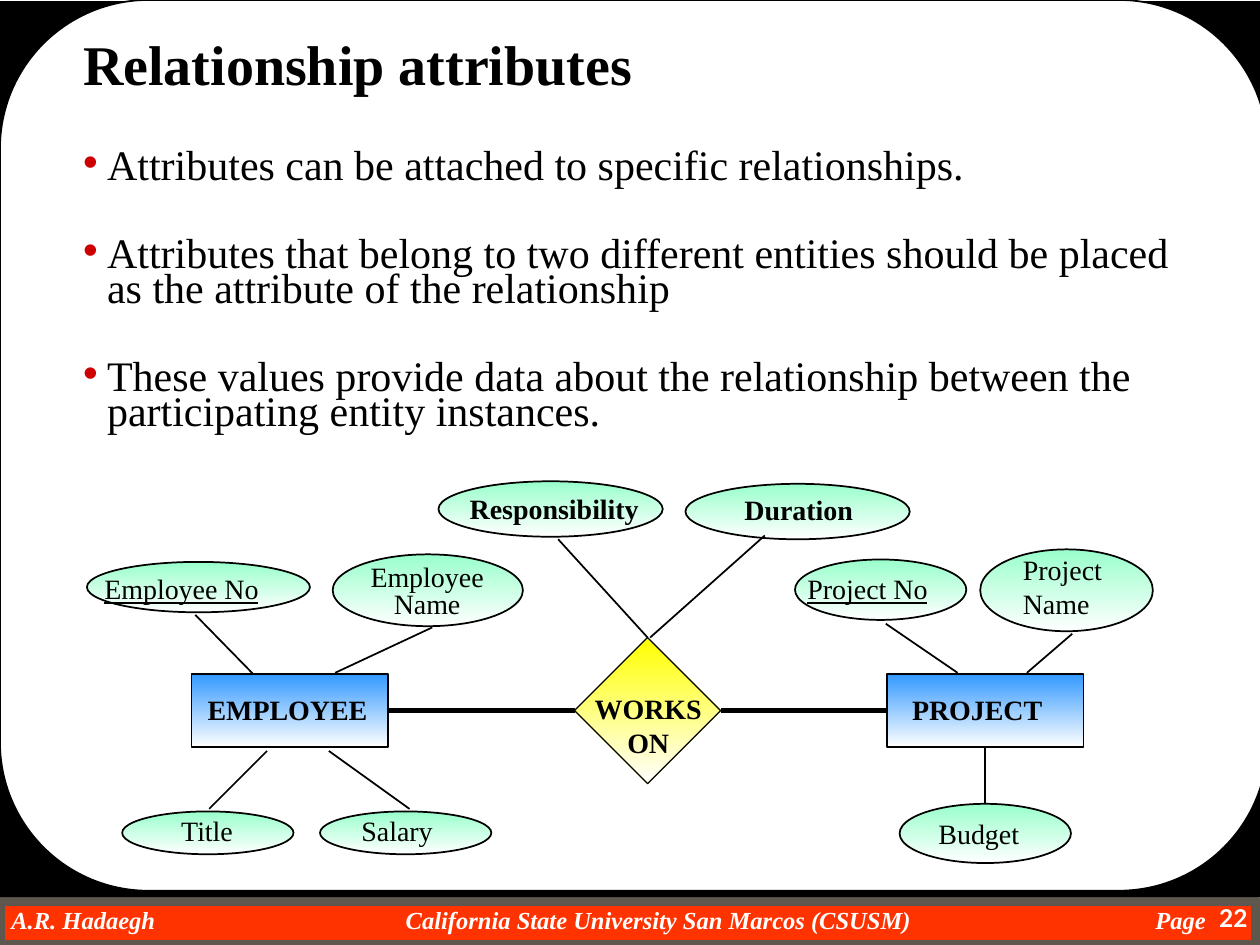
from dataclasses import dataclass
from typing import Optional

from lxml.etree import SubElement
from pptx import Presentation
from pptx.dml.color import RGBColor
from pptx.enum.shapes import MSO_CONNECTOR, MSO_SHAPE
from pptx.enum.text import MSO_ANCHOR, MSO_AUTO_SIZE, PP_ALIGN
from pptx.oxml.ns import qn
from pptx.util import Inches, Pt

BLACK = RGBColor(0x00, 0x00, 0x00)
WHITE = RGBColor(0xFF, 0xFF, 0xFF)
FOOTER_RED = RGBColor(0xFF, 0x33, 0x00)
FOOTER_BORDER = RGBColor(0x5E, 0x57, 0x4E)
BULLET_RED = RGBColor(0xCC, 0x00, 0x00)
ENTITY_BLUE = RGBColor(0x33, 0x99, 0xFF)
ATTRIBUTE_GREEN = RGBColor(0x99, 0xFF, 0xCC)
RELATIONSHIP_YELLOW = RGBColor(0xFF, 0xFF, 0x00)
SERIF = "Times New Roman"

BULLETS = (
    "Attributes can be attached to specific relationships.",
    "Attributes that belong to two different entities should be placed "
    "as the attribute of the relationship",
    "These values provide data about the relationship between the "
    "participating entity instances.",
)


@dataclass(frozen=True)
class Box:
    left: float
    top: float
    width: float
    height: float

    def lengths(self) -> tuple:
        return tuple(Inches(v) for v in (self.left, self.top, self.width, self.height))


@dataclass(frozen=True)
class Kind:
    preset: MSO_SHAPE
    color: RGBColor
    line_width: float


@dataclass(frozen=True)
class Node:
    kind: Kind
    box: Box
    label: str
    label_box: Box
    bold: bool = False
    underline: bool = False
    centered: bool = False
    line_spacing: float = 1.0


@dataclass(frozen=True)
class Link:
    start: tuple
    end: tuple
    width: float = 1
    start_join: Optional[tuple] = None
    end_join: Optional[tuple] = None


ENTITY = Kind(MSO_SHAPE.RECTANGLE, ENTITY_BLUE, 0.75)
ATTRIBUTE = Kind(MSO_SHAPE.OVAL, ATTRIBUTE_GREEN, 1)
RELATIONSHIP = Kind(MSO_SHAPE.DIAMOND, RELATIONSHIP_YELLOW, 0.75)

NODES = (
    Node(ENTITY, Box(1.52, 5.35, 1.56, 0.58), "EMPLOYEE", Box(1.55, 5.45, 1.5, 0.36), bold=True),
    Node(ENTITY, Box(7.04, 5.35, 1.56, 0.58), "PROJECT", Box(7.14, 5.45, 1.4, 0.36), bold=True),
    Node(RELATIONSHIP, Box(4.56, 5.06, 1.16, 1.16), "WORKS\nON", Box(4.62, 5.44, 1.05, 0.63),
         bold=True, centered=True),
    Node(ATTRIBUTE, Box(0.69, 4.46, 1.77, 0.4), "Employee No", Box(0.73, 4.49, 1.5, 0.36),
         underline=True),
    Node(ATTRIBUTE, Box(2.64, 4.4, 1.51, 0.57), "Employee\nName", Box(2.84, 4.44, 1.1, 0.52),
         centered=True, line_spacing=0.8),
    Node(ATTRIBUTE, Box(0.97, 6.44, 1.36, 0.34), "Title", Box(1.34, 6.41, 0.7, 0.36)),
    Node(ATTRIBUTE, Box(2.54, 6.44, 1.36, 0.34), "Salary", Box(2.77, 6.41, 0.85, 0.36)),
    Node(ATTRIBUTE, Box(3.48, 3.82, 1.78, 0.44), "Responsibility", Box(3.63, 3.85, 1.6, 0.36),
         bold=True),
    Node(ATTRIBUTE, Box(5.44, 3.84, 1.78, 0.44), "Duration", Box(5.81, 3.86, 1.15, 0.36),
         bold=True),
    Node(ATTRIBUTE, Box(6.31, 4.44, 1.36, 0.48), "Project No", Box(6.31, 4.49, 1.25, 0.36),
         underline=True),
    Node(ATTRIBUTE, Box(7.78, 4.36, 1.37, 0.65), "Project\nName", Box(8.02, 4.34, 0.9, 0.63)),
    Node(ATTRIBUTE, Box(7.14, 6.38, 1.36, 0.47), "Budget", Box(7.35, 6.43, 0.9, 0.36)),
)

LINKS = (
    Link((4.56, 5.64), (3.08, 5.64), 3, ("WORKS\nON", 1), ("EMPLOYEE", 3)),
    Link((7.04, 5.64), (5.72, 5.64), 3, ("PROJECT", 1), ("WORKS\nON", 3)),
    Link((7.82, 6.38), (7.82, 5.93), 1, ("Budget", 0), ("PROJECT", 2)),
    Link((4.43, 4.28), (5.14, 5.06), 1, None, ("WORKS\nON", 0)),
    Link((6.07, 4.25), (5.16, 5.06)),
    Link((1.55, 4.88), (2.01, 5.35)),
    Link((3.43, 4.98), (2.66, 5.34)),
    Link((2.12, 5.96), (1.66, 6.42)),
    Link((2.61, 5.96), (3.25, 6.42)),
    Link((7.03, 4.95), (7.6, 5.34)),
    Link((8.51, 5.03), (8.15, 5.34)),
)


def set_font(paragraph, size: float, color: RGBColor = BLACK, name: str = SERIF,
             bold: bool = False, italic: bool = False, underline: bool = False) -> None:
    font = paragraph.font
    font.name, font.size = name, Pt(size)
    font.bold, font.italic, font.underline = bold, italic, underline
    font.color.rgb = color


def add_panel(slide, preset: MSO_SHAPE, box: Box, fill: RGBColor,
              line: Optional[RGBColor] = None, line_width: float = 1):
    shape = slide.shapes.add_shape(preset, *box.lengths())
    shape.shadow.inherit = False
    shape.fill.solid()
    shape.fill.fore_color.rgb = fill
    if line is None:
        shape.line.fill.background()
    else:
        shape.line.color.rgb = line
        shape.line.width = Pt(line_width)
    return shape


def add_text(slide, box: Box, text: str, wrap: bool = False):
    frame = slide.shapes.add_textbox(*box.lengths()).text_frame
    frame.word_wrap = wrap
    frame.text = text
    return frame


def add_backdrop(slide) -> None:
    add_panel(slide, MSO_SHAPE.RECTANGLE, Box(0, 7.15, 9.97, 0.35), FOOTER_RED, FOOTER_BORDER, 6)
    footer = add_text(slide, Box(0.09, 7.18, 9.68, 0.23),
                      "A.R. Hadaegh\tCalifornia State University San Marcos (CSUSM)\tPage", True)
    footer.margin_left = footer.margin_top = footer.margin_right = footer.margin_bottom = 0
    paragraph = footer.paragraphs[0]
    tab_list = SubElement(paragraph._p.get_or_add_pPr(), qn("a:tabLst"))
    for position in (3.13, 9.08):
        SubElement(tab_list, qn("a:tab"), pos=str(Inches(position)), algn="l")
    set_font(paragraph, 14, WHITE, bold=True, italic=True)
    add_panel(slide, MSO_SHAPE.RECTANGLE, Box(0, 0.01, 10, 7.11), BLACK)
    add_panel(slide, MSO_SHAPE.ROUNDED_RECTANGLE, Box(0, 0, 10.06, 7.07), WHITE, BLACK)
    number = add_text(slide, Box(9.25, 7.12, 0.75, 0.38), "22", True).paragraphs[0]
    number.alignment = PP_ALIGN.RIGHT
    set_font(number, 14, WHITE, "Lato", bold=True)


def place_placeholder(placeholder, box: Box, text: str):
    placeholder.element.getparent().append(placeholder.element)
    placeholder.left, placeholder.top, placeholder.width, placeholder.height = box.lengths()
    frame = placeholder.text_frame
    frame.text = text
    frame.word_wrap = True
    frame.auto_size = MSO_AUTO_SIZE.NONE
    frame.vertical_anchor = MSO_ANCHOR.TOP
    for paragraph in frame.paragraphs:
        paragraph.alignment = PP_ALIGN.LEFT
        paragraph.line_spacing = 0.7
        paragraph.space_before = Pt(0)
    return frame


def add_bullet(paragraph) -> None:
    properties = paragraph._p.get_or_add_pPr()
    properties.set("marL", str(Inches(0.19)))
    properties.set("indent", str(-Inches(0.19)))
    bullet_color = SubElement(properties, qn("a:buClr"))
    SubElement(bullet_color, qn("a:srgbClr"), val=str(BULLET_RED))
    SubElement(properties, qn("a:buChar"), char="•")


def fill_placeholders(slide) -> None:
    title = place_placeholder(slide.shapes.title, Box(0.56, 0.33, 9.07, 0.6),
                              "Relationship attributes")
    set_font(title.paragraphs[0], 32, bold=True)
    body = place_placeholder(slide.placeholders[1], Box(0.56, 1.16, 9.07, 2.4),
                             "\n".join(BULLETS))
    for index, paragraph in enumerate(body.paragraphs):
        paragraph.space_before = Pt(30 if index else 0)
        add_bullet(paragraph)
        set_font(paragraph, 24)


def add_node(slide, node: Node):
    shape = add_panel(slide, node.kind.preset, node.box, node.kind.color, BLACK,
                      node.kind.line_width)
    shape.fill.gradient()
    shape.fill.gradient_angle = 270
    for stop, color in zip(shape.fill.gradient_stops, (node.kind.color, WHITE)):
        stop.color.rgb = color
    label = add_text(slide, node.label_box, node.label, True)
    for paragraph in label.paragraphs:
        paragraph.alignment = PP_ALIGN.CENTER if node.centered else PP_ALIGN.LEFT
        paragraph.line_spacing = node.line_spacing
        set_font(paragraph, 16, bold=node.bold, underline=node.underline)
    return shape


def add_link(slide, link: Link, shapes: dict) -> None:
    ends = [Inches(value) for value in link.start + link.end]
    connector = slide.shapes.add_connector(MSO_CONNECTOR.STRAIGHT, *ends)
    connector.line.color.rgb = BLACK
    connector.line.width = Pt(link.width)
    SubElement(connector.element.spPr, qn("a:effectLst"))
    for join, connect in ((link.start_join, connector.begin_connect),
                          (link.end_join, connector.end_connect)):
        if join:
            connect(shapes[join[0]], join[1])


def main() -> None:
    presentation = Presentation()
    presentation.slide_width, presentation.slide_height = Inches(10), Inches(7.5)
    slide = presentation.slides.add_slide(presentation.slide_layouts[1])
    add_backdrop(slide)
    fill_placeholders(slide)
    shapes = {node.label: add_node(slide, node) for node in NODES}
    for link in LINKS:
        add_link(slide, link, shapes)
    presentation.save("out.pptx")


if __name__ == "__main__":
    main()
